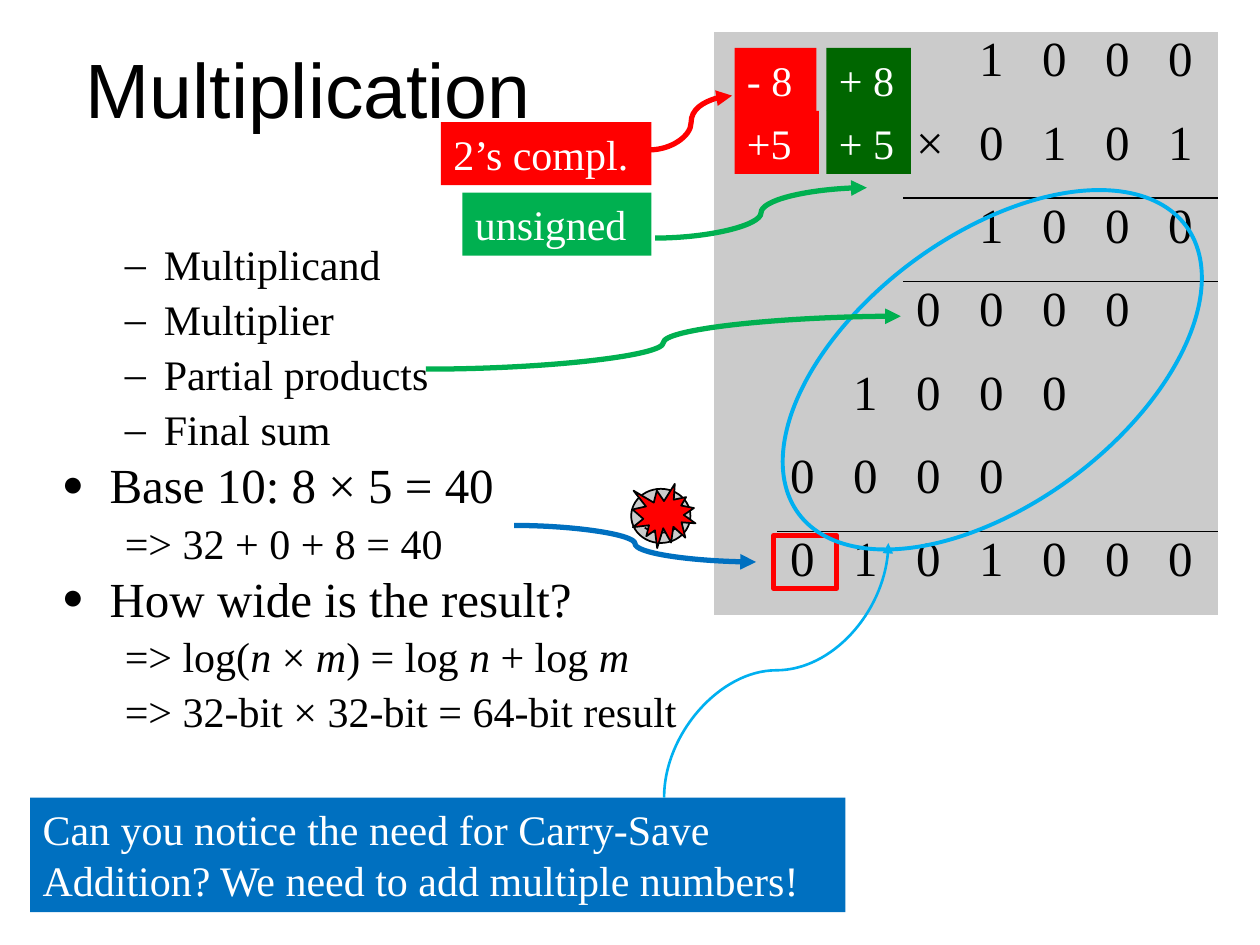
"""Build the binary multiplication slide and save it as out.pptx."""
from lxml.etree import SubElement
from pptx import Presentation
from pptx.dml.color import RGBColor
from pptx.enum.shapes import MSO_CONNECTOR as Connector, MSO_SHAPE as Shape
from pptx.enum.text import MSO_ANCHOR as Anchor, MSO_AUTO_SIZE as AutoSize, PP_ALIGN as Align
from pptx.oxml.ns import qn
from pptx.util import Inches, Pt

COLORS = {
    "black": "000000", "white": "FFFFFF", "gray": "CBCBCB", "red": "FF0000",
    "dark_green": "006600", "green": "00B050", "blue": "0070C0", "sky": "00B0F0",
}
SERIF = "Times New Roman"


def rgb(name):
    return RGBColor.from_string(COLORS[name])


def write_text(paragraph, text, size=24, color="black", font=SERIF, spacing=None, before=0):
    """Write text whose parts between asterisks are italic."""
    paragraph.alignment = Align.LEFT
    paragraph.space_before = Pt(before)
    if spacing:
        paragraph.line_spacing = spacing
    for index, part in enumerate(text.split("*")):
        run = paragraph.add_run()
        run.text = part
        run.font.size = Pt(size)
        run.font.name = font
        run.font.italic = index % 2 == 1
        run.font.color.rgb = rgb(color)


presentation = Presentation()
presentation.slide_width, presentation.slide_height = Inches(10), Inches(7.5)
slide = presentation.slides.add_slide(presentation.slide_layouts[1])
shapes = slide.shapes

title = shapes.title
title.left, title.top, title.width, title.height = map(Inches, (0.58, 0.07, 8.84, 1.25))
title.text_frame.vertical_anchor = Anchor.MIDDLE
title.text_frame.auto_size = AutoSize.NONE
write_text(title.text_frame.paragraphs[0], "Multiplication", size=44, font="Arial")

body = slide.placeholders[1]
body.left, body.top, body.width, body.height = map(Inches, (0.29, 1.32, 5.38, 4.5))
body_frame = body.text_frame
body_frame.auto_size = AutoSize.NONE
body_frame.margin_left = body_frame.margin_right = Inches(0.2)
body_frame.margin_top = Inches(0.62)

STYLES = {
    "dash": dict(level=1, left=0.81, hanging=0.31, bullet="–", scale=100, size=24, spacing=0.9),
    "dot": dict(level=0, left=0.38, hanging=0.38, bullet="●", scale=75, size=28, spacing=0.8),
    "plain": dict(level=1, left=0.5, hanging=0, bullet=None, scale=100, size=24, spacing=0.9),
}
body_lines = [
    ("dash", "Multiplicand"),
    ("dash", "Multiplier"),
    ("dash", "Partial products"),
    ("dash", "Final sum"),
    ("dot", "Base 10: 8 × 5 = 40"),
    ("plain", "=> 32 + 0 + 8 = 40"),
    ("dot", "How wide is the result?"),
    ("plain", "=> log(*n *× *m*) = log *n* + log *m*"),
    ("plain", "=> 32-bit × 32-bit = 64-bit result"),
]
for index, (style_name, text) in enumerate(body_lines):
    style = STYLES[style_name]
    paragraph = body_frame.add_paragraph() if index else body_frame.paragraphs[0]
    paragraph.level = style["level"]
    before = style["size"] * 0.23 if index else 0
    write_text(paragraph, text, size=style["size"], spacing=style["spacing"], before=before)
    properties = paragraph._p.get_or_add_pPr()
    properties.set("marL", str(Inches(style["left"])))
    properties.set("indent", str(-Inches(style["hanging"])))
    if style["bullet"]:
        bullet_color = SubElement(properties, qn("a:buClr"))
        SubElement(bullet_color, qn("a:srgbClr"), val=COLORS["black"])
        SubElement(properties, qn("a:buSzPct"), val=str(style["scale"] * 1000))
        SubElement(properties, qn("a:buFont"), typeface=SERIF)
        SubElement(properties, qn("a:buChar"), char=style["bullet"])
    else:
        SubElement(properties, qn("a:buNone"))

digit_rows = ["    1000", "   ×0101", "    1000", "   0000 ", "  1000  ", " 0000   ", " 0101000"]
rules = {(1, "a:lnB"): 3, (2, "a:lnT"): 3, (5, "a:lnB"): 1, (6, "a:lnT"): 1}
table = shapes.add_table(7, 8, Inches(5.67), Inches(0.25), Inches(4), Inches(4.63)).table
table.first_row = table.horz_banding = False
table._tbl.tblPr.find(qn("a:tableStyleId")).text = "{2D5ABB26-0587-4C30-8999-92F81FD0307C}"
for row, digits in enumerate(digit_rows):
    for column, digit in enumerate(digits):
        cell = table.cell(row, column)
        for (rule_row, side), first_column in rules.items():
            if row == rule_row and column >= first_column:
                border = SubElement(cell._tc.get_or_add_tcPr(), qn(side), w=str(Pt(1)))
                border_fill = SubElement(border, qn("a:solidFill"))
                SubElement(border_fill, qn("a:srgbClr"), val=COLORS["black"])
        cell.fill.solid()
        cell.fill.fore_color.rgb = rgb("gray")
        if digit != " ":
            write_text(cell.text_frame.paragraphs[0], digit, size=28, spacing=0.9)

labels = [
    ("+ 8", 6.56, 0.38, 0.67, 0.5, "dark_green"),
    ("+ 5", 6.56, 0.88, 0.67, 0.5, "dark_green"),
    ("- 8", 5.83, 0.38, 0.65, 0.5, "red"),
    ("+5", 5.83, 0.88, 0.67, 0.5, "red"),
    ("unsigned", 3.67, 1.53, 1.5, 0.5, "green"),
    ("2’s compl.", 3.5, 0.97, 1.67, 0.5, "red"),
    ("Can you notice the need for Carry-Save Addition? We need to add multiple numbers!",
     0.24, 6.33, 6.47, 0.91, "blue"),
]
for text, left, top, width, height, color in labels:
    label = shapes.add_shape(Shape.RECTANGLE, *map(Inches, (left, top, width, height)))
    label.shadow.inherit = False
    label.fill.solid()
    label.fill.fore_color.rgb = rgb(color)
    label.line.fill.background()
    label.text_frame.word_wrap = True
    label.text_frame.vertical_anchor = Anchor.TOP
    label.text_frame.auto_size = AutoSize.SHAPE_TO_FIT_TEXT
    write_text(label.text_frame.paragraphs[0], text, color="white")

marks = [
    (Shape.RECTANGLE, 6.14, 4.25, 0.5, 0.42, 0, None, "red", 3),
    (Shape.SMILEY_FACE, 5.01, 3.88, 0.47, 0.43, 0, "gray", "black", 1),
    (Shape.EXPLOSION1, 5.02, 3.84, 0.5, 0.51, 0, "red", "black", 1),
    (Shape.OVAL, 6.81, 1.02, 2.13, 3.83, 53.4, None, "sky", 2.25),
]
for kind, left, top, width, height, rotation, fill, color, weight in marks:
    mark = shapes.add_shape(kind, *map(Inches, (left, top, width, height)))
    mark.shadow.inherit = False
    mark.rotation = rotation
    if fill:
        mark.fill.solid()
        mark.fill.fore_color.rgb = rgb(fill)
    else:
        mark.fill.background()
    mark.line.color.rgb = rgb(color)
    mark.line.width = Pt(weight)

arrows = [
    (4.08, 4.17, 6, 4.46, 0, "blue", 3),
    (5.2, 1.89, 6.88, 1.49, 0, "green", 3),
    (5.16, 1.19, 5.81, 0.76, 0, "red", 3),
    (3.38, 2.93, 7.15, 2.51, 0, "green", 3),
    (7.17, 6.21, 5.15, 4.43, 90, "sky", 1.5),
]
for start_x, start_y, end_x, end_y, rotation, color, weight in arrows:
    arrow = shapes.add_connector(Connector.CURVE, *map(Inches, (start_x, start_y, end_x, end_y)))
    arrow.line.color.rgb = rgb(color)
    arrow.line.width = Pt(weight)
    arrow_properties = arrow._element.spPr
    if rotation:
        arrow_properties.find(qn("a:xfrm")).set("rot", str(rotation * 60000))
    SubElement(arrow_properties.find(qn("a:ln")), qn("a:tailEnd"), type="triangle")
    SubElement(arrow_properties, qn("a:effectLst"))

presentation.save("out.pptx")
